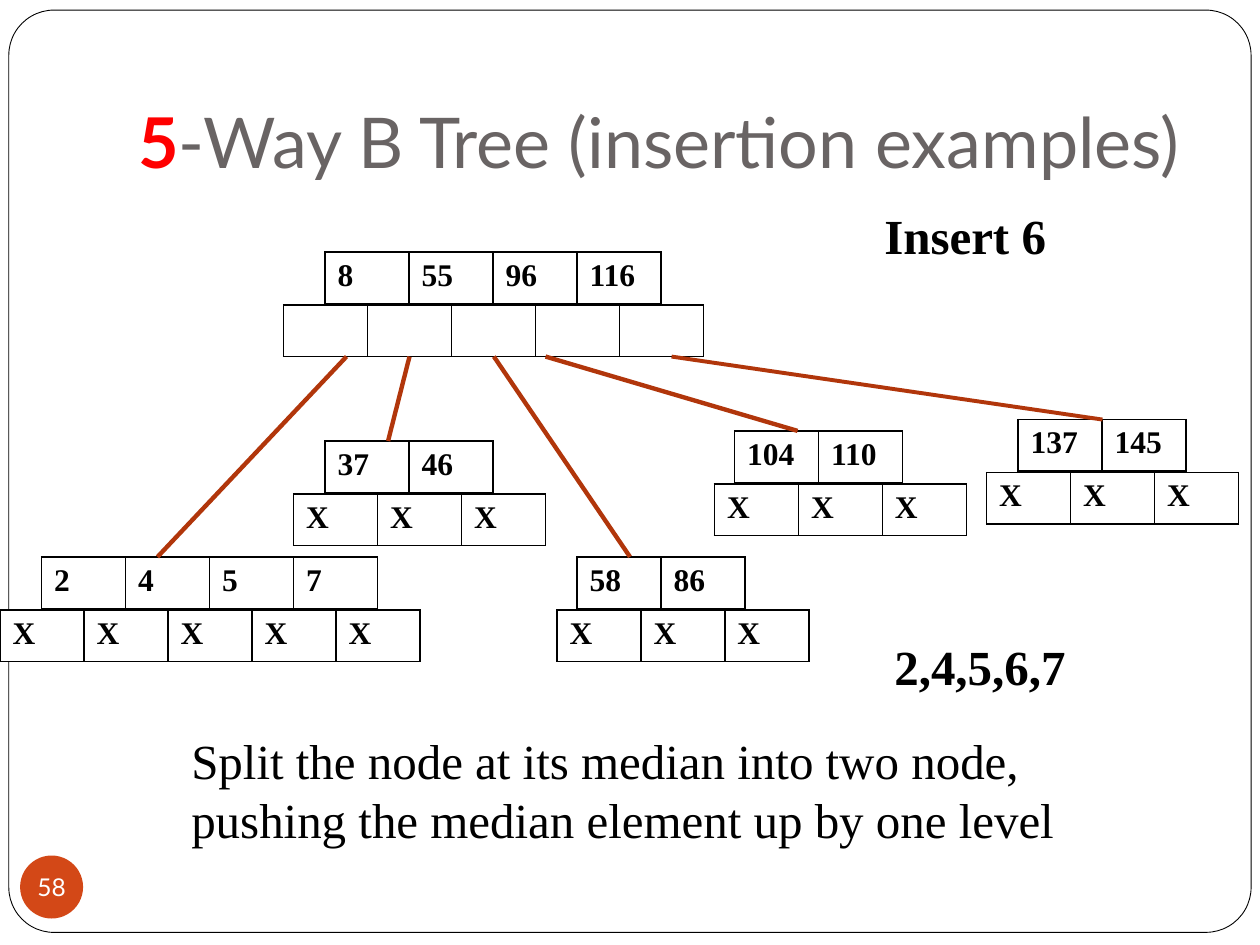
from lxml import etree
from pptx import Presentation
from pptx.dml.color import RGBColor
from pptx.enum import shapes, text
from pptx.oxml import ns
from pptx.util import Inches, Pt

COLORS = {"ink": "000000", "paper": "FFFFFF", "title": "696464",
          "accent": "FF0000", "branch": "B1360B", "badge": "D34817"}
SERIF, SANS = "Times New Roman", "Lato"
CELL_WIDTH, CELL_HEIGHT, LINK_DROP = 2 / 3, 0.41, 0.42

NODES = [
    (2.58, 2, ["8", "55", "96", "116"], 2.25, ""),
    (5.83, 3.42, ["104", "110"], 5.67, "X"),
    (8.08, 3.33, ["137", "145"], 7.83, "X"),
    (0.33, 4.42, ["2", "4", "5", "7"], 0, "X"),
    (2.58, 3.5, ["37", "46"], 2.33, "X"),
    (4.58, 4.42, ["58", "86"], 4.42, "X"),
]
ROOT_BOTTOM = 2.83
BRANCHES = [
    (2.75, 1.25, 4.42, 2.5),
    (3.25, 3.08, 3.5, 2.5),
    (3.92, 5, 4.42, 2.5),
    (4.33, 6.33, 3.42, 2.5),
    (5.33, 8.75, 3.33, 2.25),
]


def color(name):
    """Return the named colour."""
    return RGBColor.from_string(COLORS[name])


def style(run, size, face, ink="ink", bold=False):
    """Set the font of a run."""
    run.font.size, run.font.name, run.font.bold = Pt(size), face, bold
    run.font.color.rgb = color(ink)


def add_frame(slide, left, top, width, height):
    """Add the rounded slide border."""
    frame = slide.shapes.add_shape(
        shapes.MSO_SHAPE.ROUNDED_RECTANGLE,
        Inches(left), Inches(top), Inches(width), Inches(height))
    frame.adjustments[0] = 0.049
    frame.shadow.inherit = False
    frame.fill.solid()
    frame.fill.fore_color.rgb = color("paper")
    frame.line.color.rgb = color("ink")
    frame.line.width = Pt(0.5)


def add_title(slide, left, top, width, height):
    """Add the title with its highlighted order."""
    title = slide.shapes.add_textbox(
        Inches(left), Inches(top), Inches(width), Inches(height)).text_frame
    title.word_wrap = True
    title.vertical_anchor = text.MSO_ANCHOR.BOTTOM
    title.margin_bottom = Inches(0.1)
    parts = [("5", "accent", True),
             ("-Way B Tree (insertion examples)", "title", False)]
    for words, ink, bold in parts:
        run = title.paragraphs[0].add_run()
        run.text = words
        style(run, 40, SANS, ink, bold)


def add_note(slide, words, left, top, width, height, bold=False):
    """Add a serif remark."""
    note = slide.shapes.add_textbox(
        Inches(left), Inches(top), Inches(width), Inches(height)).text_frame
    note.word_wrap = True
    note.text = words
    style(note.paragraphs[0].runs[0], 28, SERIF, bold=bold)


def add_borders(cell):
    """Outline a table cell on all four sides."""
    properties = cell._tc.get_or_add_tcPr()
    for side in ("a:lnL", "a:lnR", "a:lnT", "a:lnB"):
        line = etree.SubElement(properties, ns.qn(side), w=str(Pt(1)))
        fill = etree.SubElement(line, ns.qn("a:solidFill"))
        etree.SubElement(fill, ns.qn("a:srgbClr"), val=COLORS["ink"])


def add_cells(slide, values, left, top):
    """Add a one-row table of values."""
    table = slide.shapes.add_table(
        1, len(values), Inches(left), Inches(top),
        Inches(CELL_WIDTH * len(values)), Inches(CELL_HEIGHT)).table
    table.first_row = table.horz_banding = False
    for column, value in enumerate(values):
        table.columns[column].width = Inches(CELL_WIDTH)
        cell = table.cell(0, column)
        add_borders(cell)
        cell.fill.solid()
        cell.fill.fore_color.rgb = color("paper")
        if value:
            cell.text = value
            style(cell.text_frame.paragraphs[0].runs[0], 18, SERIF, bold=True)


def add_node(slide, left, top, keys, links_left, link):
    """Add a tree node: its keys above its child links."""
    add_cells(slide, keys, left, top)
    add_cells(slide, [link] * (len(keys) + 1), links_left, top + LINK_DROP)


def add_branch(slide, start_x, end_x, end_y, weight):
    """Add a line from the root to a child."""
    branch = slide.shapes.add_connector(
        shapes.MSO_CONNECTOR.STRAIGHT, Inches(start_x), Inches(ROOT_BOTTOM),
        Inches(end_x), Inches(end_y))
    branch.line.color.rgb = color("branch")
    branch.line.width = Pt(weight)
    etree.SubElement(branch._element.spPr, ns.qn("a:effectLst"))


def add_page_number(slide, number, left, top, size):
    """Add the round page number badge."""
    badge = slide.shapes.add_shape(
        shapes.MSO_SHAPE.OVAL, Inches(left), Inches(top),
        Inches(size), Inches(size))
    badge.shadow.inherit = False
    badge.fill.solid()
    badge.fill.fore_color.rgb = color("badge")
    badge.line.fill.background()
    label = badge.text_frame
    label.margin_left = label.margin_right = 0
    label.margin_top = label.margin_bottom = 0
    label.word_wrap = False
    label.vertical_anchor = text.MSO_ANCHOR.MIDDLE
    label.text = number
    label.paragraphs[0].alignment = text.PP_ALIGN.CENTER
    style(label.paragraphs[0].runs[0], 14, SANS, "paper")


def main():
    """Build and save the slide."""
    deck = Presentation()
    deck.slide_width, deck.slide_height = Inches(10), Inches(7.5)
    slide = deck.slides.add_slide(deck.slide_layouts[6])
    add_frame(slide, 0.07, 0.08, 9.86, 7.32)
    add_title(slide, 1, 0.3, 8.5, 1.25)
    for node in NODES:
        add_node(slide, *node)
    for branch in BRANCHES:
        add_branch(slide, *branch)
    add_note(slide, "Insert 6", 6.92, 1.58, 2.33, 0.57, bold=True)
    add_note(slide, "2,4,5,6,7", 7, 5, 2.5, 0.57, bold=True)
    add_note(slide, "Split the node at its median into two node, "
             "pushing the median element up by one level",
             1.42, 5.75, 7.67, 1.51)
    add_page_number(slide, "58", 0.16, 6.79, 0.5)
    deck.save("out.pptx")


if __name__ == "__main__":
    main()
